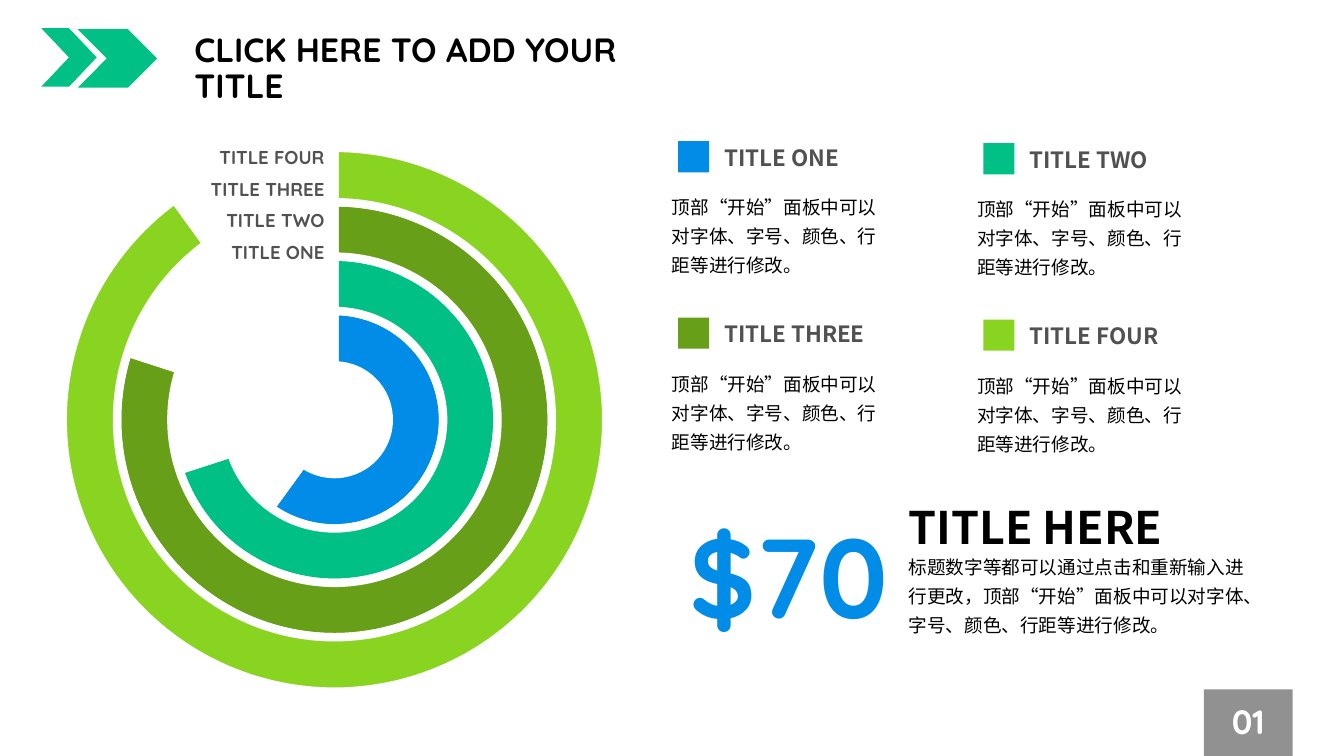
from lxml import etree
from pptx import Presentation
from pptx.chart.data import CategoryChartData
from pptx.dml.color import RGBColor
from pptx.enum.chart import XL_CHART_TYPE
from pptx.enum.shapes import MSO_SHAPE
from pptx.enum.text import MSO_ANCHOR, PP_ALIGN
from pptx.oxml import parse_xml
from pptx.oxml.ns import nsdecls, qn
from pptx.util import Inches, Pt

BLUE = RGBColor(0x00, 0x8C, 0xE7)
TEAL = RGBColor(0x00, 0xC0, 0x86)
OLIVE = RGBColor(0x67, 0x9F, 0x18)
LIME = RGBColor(0x89, 0xD4, 0x20)
DARK = RGBColor(0x51, 0x51, 0x51)
GREY = RGBColor(0x91, 0x91, 0x91)
BLACK = RGBColor(0, 0, 0)
WHITE = RGBColor(255, 255, 255)
LEFT, CENTER, RIGHT = PP_ALIGN.LEFT, PP_ALIGN.CENTER, PP_ALIGN.RIGHT
TOP, MIDDLE = MSO_ANCHOR.TOP, MSO_ANCHOR.MIDDLE
CHEVRON, RECTANGLE = MSO_SHAPE.CHEVRON, MSO_SHAPE.RECTANGLE
DOUGHNUT = XL_CHART_TYPE.DOUGHNUT
ROUND_FONT, SANS_FONT = "Quicksand", "Noto Sans CJK SC"

deck = Presentation()
deck.slide_width, deck.slide_height = Inches(13.34), Inches(7.5)
page = deck.slides.add_slide(deck.slide_layouts[6])


def add_block(kind, left, top, width, height, color):
    block = page.shapes.add_shape(kind, Inches(left), Inches(top), Inches(width), Inches(height))
    block.shadow.inherit = False
    block.fill.solid()
    block.fill.fore_color.rgb = color
    block.line.fill.background()


def add_text(text, left, top, width, height, size, font, color=BLACK,
             bold=True, align=LEFT, anchor=TOP, spacing=1.0):
    box = page.shapes.add_textbox(Inches(left), Inches(top), Inches(width), Inches(height))
    frame = box.text_frame
    frame.word_wrap = True
    frame.vertical_anchor = anchor
    para = frame.paragraphs[0]
    para.alignment = align
    para.line_spacing = spacing
    span = para.add_run()
    span.text = text
    span.font.size = Pt(size)
    span.font.name = font
    span.font.bold = bold
    span.font.color.rgb = color
    # East Asian characters take their own font setting
    etree.SubElement(span.font._element, qn("a:ea")).set("typeface", font)


# Header
add_block(CHEVRON, 0.41, 0.28, 0.55, 0.58, TEAL)
add_block(CHEVRON, 0.77, 0.29, 0.79, 0.58, TEAL)
add_text("CLICK HERE TO ADD YOUR TITLE", 1.83, 0.28, 5.32, 0.58, 24, ROUND_FONT, spacing=0.9)

# Ring chart, innermost series first
rings = [("TITLE ONE", 60, BLUE), ("TITLE TWO", 70, TEAL),
         ("TITLE THREE", 80, OLIVE), ("TITLE FOUR", 90, LIME)]
data = CategoryChartData()
data.categories = ["1", "2"]
for number, (name, value, color) in enumerate(rings, 1):
    data.add_series(f"Series {number}", (value, 100 - value))
chart = page.shapes.add_chart(DOUGHNUT, Inches(-0.83), Inches(1.32),
                              Inches(8.3), Inches(5.69), data).chart
chart.has_legend = False
chart.has_title = False
chart.font.size = Pt(10)
chart.font.name = ROUND_FONT
chart.font.color.rgb = BLACK
plot = chart.plots[0]
plot.vary_by_categories = True
for series, (name, value, color) in zip(plot.series, rings):
    filled, rest = series.points[0].format, series.points[1].format
    filled.fill.solid()
    filled.fill.fore_color.rgb = color
    rest.fill.background()
    for part in (filled, rest):
        part.line.color.rgb = WHITE
        part.line.width = Pt(6)

# Hole size and plot area
plot._element.find(qn("c:holeSize")).set("val", "60")
plot_area = chart._chartSpace.chart.plotArea
for layout in plot_area.findall(qn("c:layout")):
    plot_area.remove(layout)
plot_area.insert(0, parse_xml(
    f'<c:layout {nsdecls("c")}><c:manualLayout><c:layoutTarget val="inner"/>'
    '<c:xMode val="edge"/><c:yMode val="edge"/><c:x val="0.175"/><c:y val="0.025"/>'
    '<c:w val="0.65"/><c:h val="0.95"/></c:manualLayout></c:layout>'))

# Ring labels, outermost on top
for row, (name, value, color) in enumerate(reversed(rings)):
    add_text(name, 1.27, 1.4 + 0.313 * row, 2.05, 0.33, 13.3, ROUND_FONT, DARK, align=RIGHT)

# Legend with descriptions in a two by two grid
for index, (name, value, color) in enumerate(rings):
    row, column = divmod(index, 2)
    left = 6.57 + 3.03 * column
    top = 1.4 + 1.75 * row + 0.02 * column
    add_block(RECTANGLE, left + 0.16, top, 0.31, 0.31, color)
    add_text(name, left + 0.52, top - 0.02, 1.86, 0.37, 16, SANS_FONT, DARK)
    add_text("顶部“开始”面板中可以对字体、字号、颜色、行距等进行修改。",
             left, top + 0.43, 2.34, 0.98, 13.3, SANS_FONT, bold=False, spacing=1.3)

# Key figure
add_text("TITLE HERE", 8.92, 4.91, 3.33, 0.64, 32, SANS_FONT)
add_text("标题数字等都可以通过点击和重新输入进行更改，顶部“开始”面板中可以对字体、字号、颜色、行距等进行修改。",
         8.92, 5.4, 3.58, 0.98, 13.3, SANS_FONT, bold=False, spacing=1.3)
add_text("$70", 6.57, 4.97, 2.35, 1.45, 80, ROUND_FONT, BLUE, align=RIGHT, anchor=MIDDLE)

# Page number
add_block(RECTANGLE, 11.95, 6.84, 0.88, 0.67, GREY)
add_text("01", 11.95, 6.84, 0.88, 0.67, 24, ROUND_FONT, WHITE,
         align=CENTER, anchor=MIDDLE, spacing=0.9)

deck.save("out.pptx")
